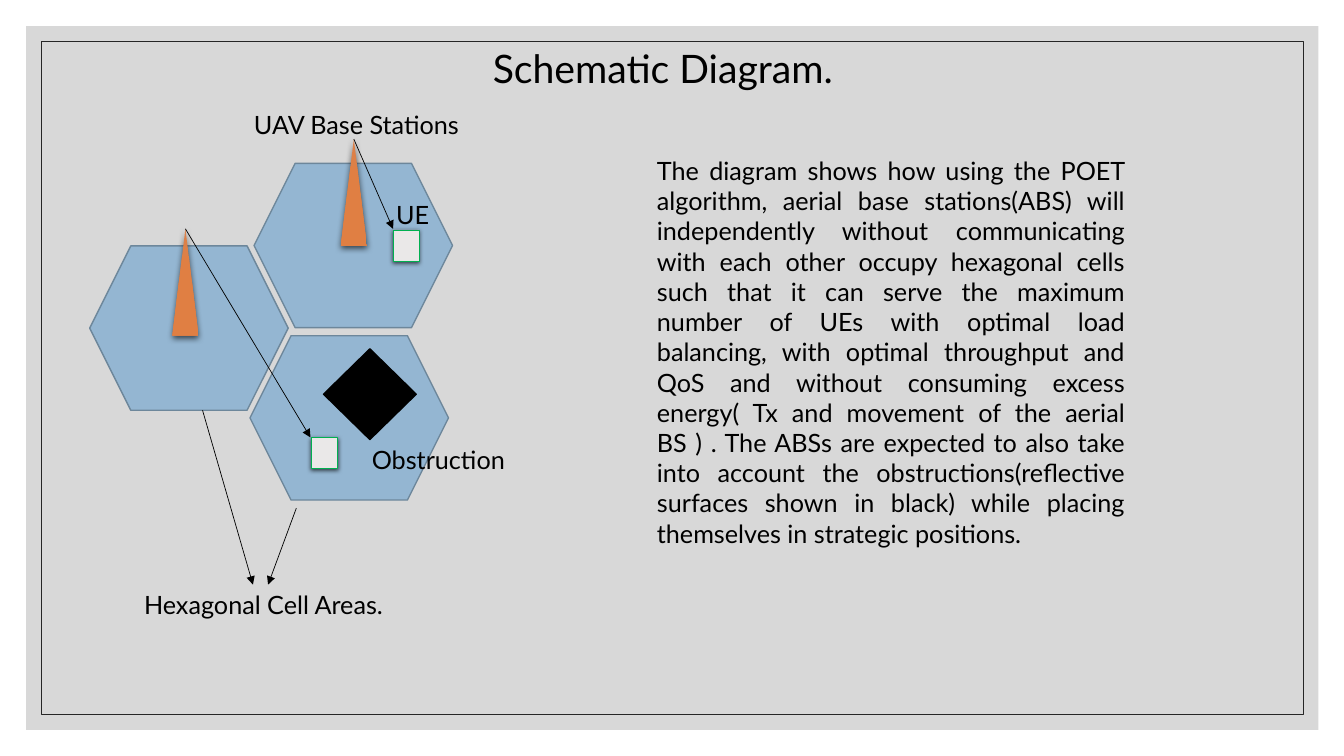
import copy

import pptx
import pptx.dml.color
import pptx.enum.shapes
import pptx.enum.text
import pptx.oxml
import pptx.oxml.ns
import pptx.util

Pt = pptx.util.Pt
qn = pptx.oxml.ns.qn
SHAPE = pptx.enum.shapes.MSO_SHAPE
ALIGN = pptx.enum.text.PP_ALIGN

COLORS = {
    "panel": "BFBFBF", "frame": "262626", "ink": "000000",
    "cell": "94B6D2", "cell_edge": "6D879B",
    "ue": "EAE8E8", "ue_edge": "00B050",
}
STATION_STOPS = [(0, "DD8047"), (0.5, "E07F43"), (1, "DF7E43")]
FONT = "Lato"
CELL_SIZE = (141.8, 117.4)
STATION_SIZE = (18.7, 76.3)
UE_SIZE = (18.7, 22.3)

DESCRIPTION = (
    "The diagram shows how using the POET algorithm, aerial base stations(ABS) will "
    "independently without communicating with each other occupy hexagonal cells such "
    "that it can serve the maximum number of UEs with optimal load balancing, with "
    "optimal throughput and QoS and without consuming excess energy( Tx and movement "
    "of the aerial BS ) . The ABSs are expected to also take into account the "
    "obstructions(reflective surfaces shown in black) while placing themselves in "
    "strategic positions."
)


def rgb(value):
    return pptx.dml.color.RGBColor.from_string(value)


def add_sub(parent, tag, **attributes):
    child = parent.makeelement(qn(tag), {k: str(v) for k, v in attributes.items()})
    parent.append(child)
    return child


def add_figure(slide, kind, left, top, size, fill=None, line=None, weight=1.0):
    figure = slide.shapes.add_shape(kind, Pt(left), Pt(top), Pt(size[0]), Pt(size[1]))
    figure.shadow.inherit = False
    if fill:
        figure.fill.solid()
        figure.fill.fore_color.rgb = rgb(COLORS[fill])
    else:
        figure.fill.background()
    if line:
        figure.line.color.rgb = rgb(COLORS[line])
        figure.line.width = Pt(weight)
    else:
        figure.line.fill.background()
    return figure


def add_shadow(figure, blur, distance):
    effects = figure._element.spPr.find(qn("a:effectLst"))
    shadow = add_sub(effects, "a:outerShdw", blurRad=int(Pt(blur)), dist=int(Pt(distance)),
                     dir=5400000, algn="ctr", rotWithShape=0)
    add_sub(add_sub(shadow, "a:srgbClr", val=COLORS["ink"]), "a:alpha", val=63000)


def add_text(slide, text, left, top, width, height, size=18, align=ALIGN.LEFT):
    box = slide.shapes.add_textbox(Pt(left), Pt(top), Pt(width), Pt(height))
    box.text_frame.word_wrap = True
    paragraph = box.text_frame.paragraphs[0]
    paragraph.text = text
    paragraph.alignment = align
    font = paragraph.runs[0].font
    font.name, font.size = FONT, Pt(size)
    font.color.rgb = rgb(COLORS["ink"])
    return box


def add_arrow(slide, start, end, station=None):
    arrow = slide.shapes.add_connector(
        pptx.enum.shapes.MSO_CONNECTOR.STRAIGHT, *(Pt(v) for v in (*start, *end)))
    arrow.line.color.rgb = rgb(COLORS["ink"])
    arrow.line.width = Pt(0.5)
    add_sub(arrow.line._get_or_add_ln(), "a:tailEnd", type="triangle")
    add_sub(arrow._element.spPr, "a:effectLst")
    if station is not None:
        arrow.begin_connect(station, 0)


def add_cell(slide, left, top):
    add_figure(slide, SHAPE.HEXAGON, left, top, CELL_SIZE, "cell", "cell_edge")


def add_station(slide, left, top):
    station = add_figure(slide, SHAPE.ISOSCELES_TRIANGLE, left, top, STATION_SIZE)
    station.fill.gradient()
    station.fill.gradient_angle = 270
    stop_list = station._element.spPr.find(qn("a:gradFill")).find(qn("a:gsLst"))
    stop_list.append(copy.deepcopy(stop_list[-1]))
    for stop, (position, color) in zip(station.fill.gradient_stops, STATION_STOPS):
        stop.position = position
        stop.color.rgb = rgb(color)
    add_shadow(station, 4.5, 1.5)
    return station


def add_ue(slide, left, top):
    ue = add_figure(slide, SHAPE.RECTANGLE, left, top, UE_SIZE, "ue", "ue_edge", 0.5)
    add_shadow(ue, 3, 1)


def draw_background(slide, left, top, width, height):
    panel = add_figure(slide, SHAPE.RECTANGLE, left, top, (width, height), "panel")
    color = panel._element.spPr.find(qn("a:solidFill"))[0]
    add_sub(color, "a:alpha", val=60000)
    inset = 10.8
    add_figure(slide, SHAPE.RECTANGLE, left + inset, top + inset,
               (width - 2 * inset, height - 2 * inset), line="frame", weight=0.5)


def draw_diagram(slide, left, top):
    # Lower cell with its obstruction and user equipment
    add_cell(slide, left + 114.5, top + 165.6)
    add_figure(slide, SHAPE.DIAMOND, left + 167, top + 175, (66.2, 64.8), "ink", "ink")
    add_ue(slide, left + 158.4, top + 238.3)

    # Left cell and upper cell with their base stations
    add_cell(slide, left, top + 101.5)
    left_station = add_station(slide, left + 59, top + 89.3)
    add_cell(slide, left + 117.4, top + 42.5)
    upper_station = add_station(slide, left + 179.3, top + 25.2)
    add_ue(slide, left + 216.7, top + 90)

    # Links from stations to user equipment
    add_arrow(slide, (left + 188.6, top + 25.2), (left + 216.7, top + 89.3), upper_station)
    add_arrow(slide, (left + 68.4, top + 89.3), (left + 157.7, top + 238.3), left_station)

    # Pointers from cells to their caption
    add_arrow(slide, (left + 80.6, top + 218.9), (left + 116.6, top + 343.4))
    add_arrow(slide, (left + 147.6, top + 288.7), (left + 127.4, top + 343.4))

    # Labels
    for text, x, y, width in [
        ("Hexagonal Cell Areas.", 31.7, 343.4, 201.6),
        ("UAV Base Stations", 110.2, 0, 185.8),
        ("UE", 211.7, 64.8, 43.9),
        ("Obstruction", 194.4, 239.8, 114.5),
    ]:
        add_text(slide, text, left + x, top + y, width, 28.8)


def main():
    deck = pptx.Presentation()
    deck.slide_width, deck.slide_height = Pt(960), Pt(540)
    slide = deck.slides.add_slide(deck.slide_layouts[6])
    draw_background(slide, 18.7, 18.7, 923, 502.6)
    draw_diagram(slide, 64.1, 74.2)
    add_text(slide, "Schematic Diagram.", 344.9, 28.1, 325.4, 60.5, size=28)
    add_text(slide, DESCRIPTION, 462.2, 107.3, 348.5, 290.9, align=ALIGN.JUSTIFY)
    deck.save("out.pptx")


if __name__ == "__main__":
    main()
